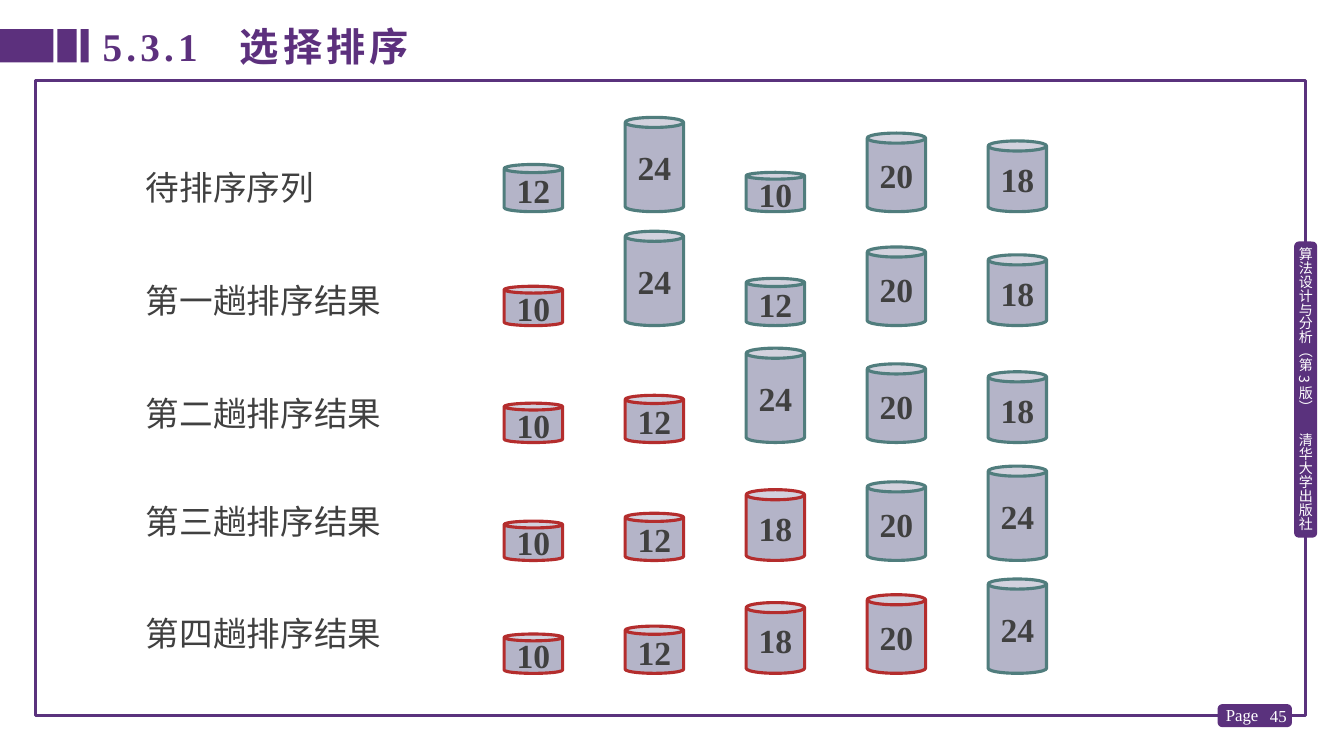
from lxml import etree
from pptx import Presentation
from pptx.dml.color import RGBColor
from pptx.enum import shapes, text
from pptx.oxml.ns import qn
from pptx.util import Inches, Pt

PURPLE, DARK_PURPLE, WHITE, GREY = "5A327D", "5C307D", "FFFFFF", "404040"
CAN_FILL, UNSORTED, SORTED = "B4B4C8", "507D7D", "B42D2D"
LATIN, CHINESE = "Times New Roman", "Noto Sans CJK SC"
RECT = shapes.MSO_SHAPE.RECTANGLE
ROUNDED = shapes.MSO_SHAPE.ROUNDED_RECTANGLE
CAN = shapes.MSO_SHAPE.CAN

# shape, (left, top, width, height), fill, line, line width
FRAME = [
    (RECT, (0.35, 0.8, 12.6, 6.3), None, PURPLE, 2.25),
    (ROUNDED, (12.09, 7, 0.71, 0.2), PURPLE, DARK_PURPLE, 2),
    (RECT, (0, 0.29, 0.53, 0.33), DARK_PURPLE, None, 0),
    (RECT, (0.57, 0.29, 0.19, 0.33), DARK_PURPLE, None, 0),
    (RECT, (0.8, 0.29, 0.08, 0.33), DARK_PURPLE, None, 0),
    (ROUNDED, (12.85, 2.41, 0.2, 2.91), PURPLE, DARK_PURPLE, 2),
]
TITLE = "5.3.1\t选择排序"
SIDE_TEXT = "算法设计与分析（第 3 版）\t清华大学出版社"

# label, label top, can bottom, values, number of sorted cans
PASSES = [
    ("待排序序列", 1.61, 2.1, (12, 24, 10, 20, 18), 0),
    ("第一趟排序结果", 2.73, 3.23, (10, 24, 12, 20, 18), 1),
    ("第二趟排序结果", 3.85, 4.39, (10, 12, 24, 20, 18), 2),
    ("第三趟排序结果", 4.92, 5.56, (10, 12, 18, 20, 24), 3),
    ("第四趟排序结果", 6.03, 6.68, (10, 12, 18, 20, 24), 4),
]
CAN_LEFT, CAN_STEP, CAN_WIDTH = 5.0, 1.2, 0.58
INCHES_PER_TEN = 0.39


def color(value):
    return RGBColor.from_string(value)


def add_shape(slide, kind, box, fill, line, line_width):
    shape = slide.shapes.add_shape(kind, *map(Inches, box))
    shape.shadow.inherit = False
    if fill:
        shape.fill.solid()
        shape.fill.fore_color.rgb = color(fill)
    else:
        shape.fill.background()
    if line:
        shape.line.color.rgb = color(line)
        shape.line.width = Pt(line_width)
    else:
        shape.line.fill.background()
    return shape


def write(shape, words, size, ink, font=LATIN, bold=False, align="LEFT",
          tab=None, spacing=None, **frame_format):
    """Put one formatted paragraph in a shape; tab is a stop in inches."""
    frame = shape.text_frame
    for name, value in frame_format.items():
        setattr(frame, name, value)
    paragraph = frame.paragraphs[0]
    paragraph.alignment = getattr(text.PP_ALIGN, align)
    if tab:
        stops = etree.SubElement(paragraph._p.get_or_add_pPr(), qn("a:tabLst"))
        etree.SubElement(stops, qn("a:tab"), pos=str(Inches(tab)), algn="l")
    run = paragraph.add_run()
    run.text = words
    for name, value in {"name": font, "size": Pt(size), "bold": bold}.items():
        setattr(run.font, name, value)
    run.font.color.rgb = color(ink)
    properties = run._r.get_or_add_rPr()
    etree.SubElement(properties, qn("a:ea"), typeface=CHINESE)
    if spacing:
        properties.set("spc", str(spacing * 100))


def add_text(slide, box, words, size, ink, **options):
    shape = slide.shapes.add_textbox(*map(Inches, box))
    write(shape, words, size, ink, **{"word_wrap": True, **options})
    return shape


def add_frame(slide):
    for part in FRAME:
        add_shape(slide, *part)
    add_text(slide, (12.45, 6.9, 0.41, 0.4), "45", 12, WHITE, align="RIGHT",
             vertical_anchor=text.MSO_ANCHOR.MIDDLE)
    add_text(slide, (12.06, 6.94, 0.53, 0.31), "Page", 12, WHITE,
             word_wrap=False)
    margins = dict.fromkeys(
        ("margin_left", "margin_top", "margin_right", "margin_bottom"), 0)
    side = add_text(slide, (12.86, 2.45, 0.17, 2.85), SIDE_TEXT, 10, WHITE,
                    font=CHINESE, tab=1.85, **margins)
    side.text_frame._txBody.bodyPr.set("vert", "eaVert")
    add_text(slide, (0.92, 0.17, 8.65, 0.57), TITLE, 28, DARK_PURPLE,
             bold=True, tab=1.36, spacing=3)


def add_pass(slide, label, label_top, bottom, values, sorted_count):
    add_text(slide, (1.35, label_top, 2.93, 0.5), label, 24, GREY, font=CHINESE)
    for column, value in enumerate(values):
        height = value * INCHES_PER_TEN / 10
        box = (CAN_LEFT + column * CAN_STEP, bottom - height, CAN_WIDTH, height)
        line = SORTED if column < sorted_count else UNSORTED
        can = add_shape(slide, CAN, box, CAN_FILL, line, 2.25)
        can.adjustments[0] = 0.173
        write(can, str(value), 24, GREY, bold=True, align="CENTER",
              word_wrap=False, vertical_anchor=text.MSO_ANCHOR.MIDDLE)


def main():
    presentation = Presentation()
    presentation.slide_width = Inches(13.33)
    presentation.slide_height = Inches(7.5)
    slide = presentation.slides.add_slide(presentation.slide_layouts[6])
    add_frame(slide)
    for sorting_pass in PASSES:
        add_pass(slide, *sorting_pass)
    presentation.save("out.pptx")


if __name__ == "__main__":
    main()
